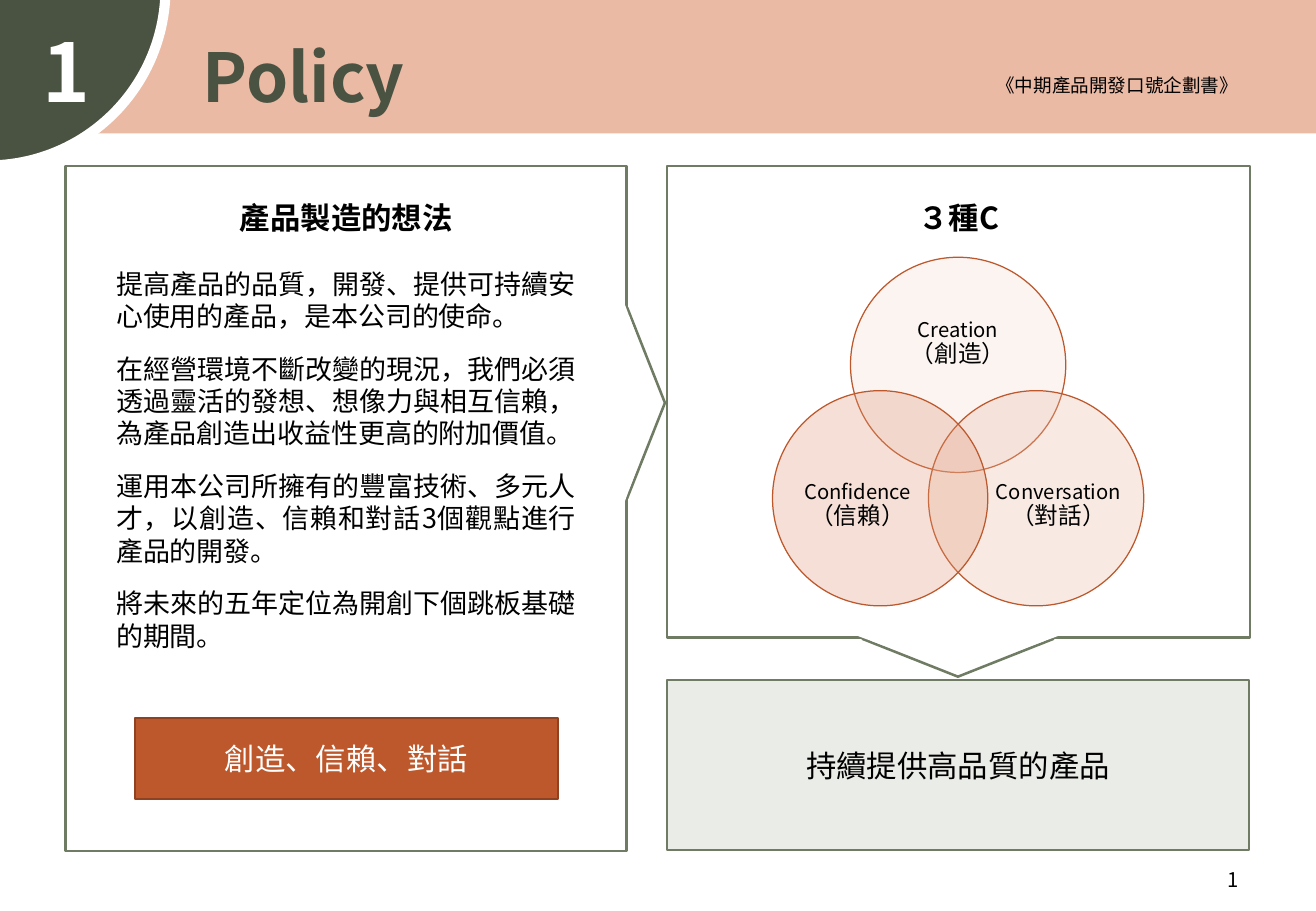
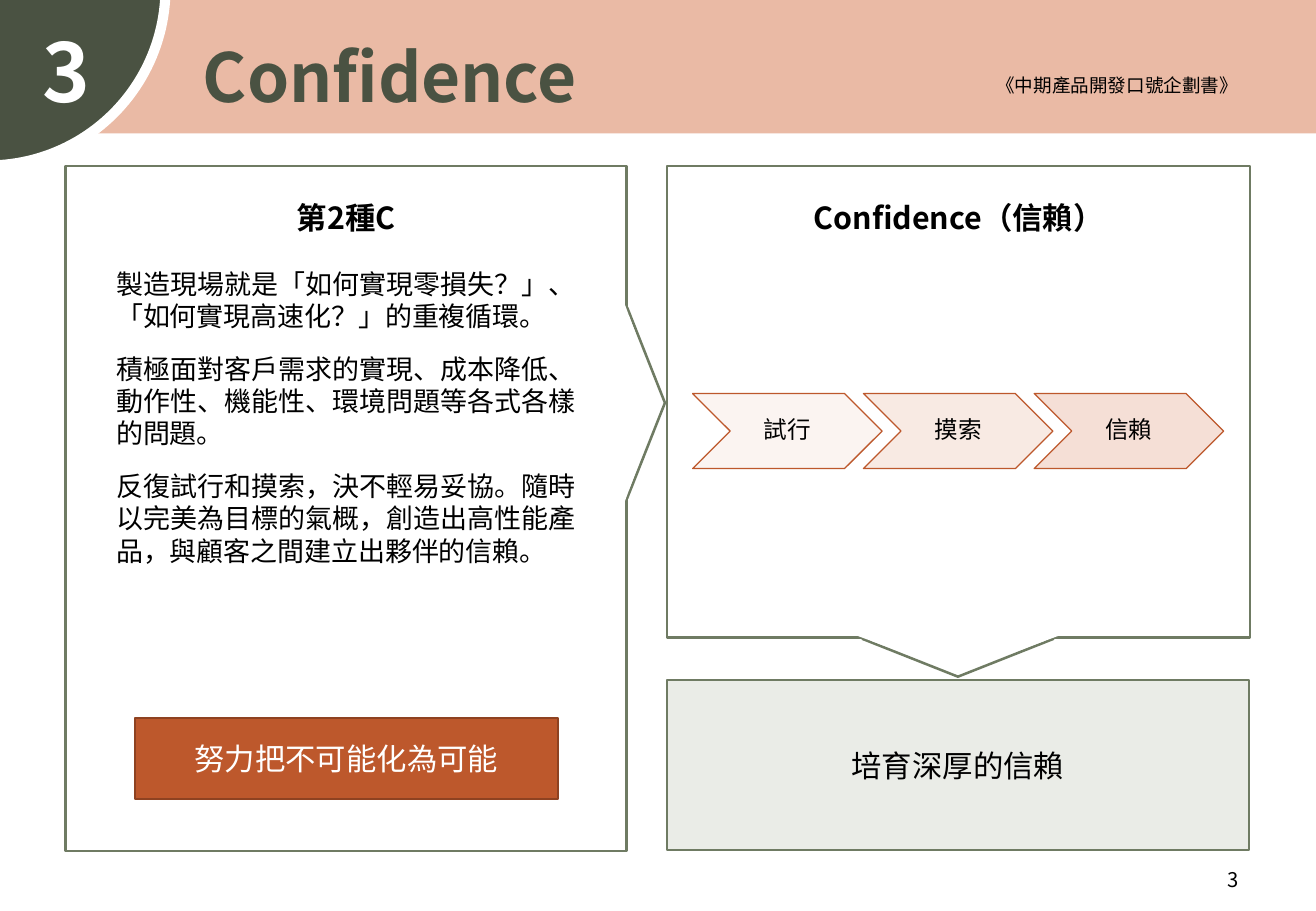
from lxml import etree
from pptx import Presentation
from pptx.dml.color import RGBColor
from pptx.enum import shapes, text
from pptx.oxml.ns import qn
from pptx.util import Cm, Pt

SHAPE = shapes.MSO_SHAPE
LEFT, MID, RIGHT, FULL = (text.PP_ALIGN.LEFT, text.PP_ALIGN.CENTER,
                          text.PP_ALIGN.RIGHT, text.PP_ALIGN.JUSTIFY)
TOP, CENTRE = text.MSO_ANCHOR.TOP, text.MSO_ANCHOR.MIDDLE

SANS, PAGE_FONT = "Noto Sans CJK SC", "Noto Sans CJK JP"
BLACK, WHITE = "000000", "FFFFFF"
DARK, SAGE, MIST = "4A5242", "6F7B63", "EAECE7"
PEACH, RUST, BROWN = "EABAA5", "BD582C", "8E4221"
TINTS = ["F5DDD2", PEACH, "E09878"]
OPACITY = 30

WIDTH, HEIGHT = 27.51, 19.05
DOC = "《中期產品開發口號企劃書》"

# All places are left, top, width, height in centimetres.
PANEL = (1.37, 3.47, 11.73, 14.33)
VIEW = (13.94, 3.47, 12.19, 9.86)
GOAL = (13.94, 14.22, 12.17, 3.56)
SLOGAN = (2.82, 15.01, 8.84, 1.7)
POINTERS = [  # outline, mask over its base, rotation
    ((11.51, 8.03, 3.99, 0.79), (11.28, 8.03, 4.29, 0.79), 90),
    ((18.03, 13.36, 3.99, 0.79), (17.88, 13.28, 4.29, 0.79), 180),
]

# Circle centre relative to the top one, label offset, label size
RINGS = [
    ((0, 0), (0, -0.44), (3.3, 2.03)),
    ((1.63, 2.79), (0.47, 0.15), (2.69, 2.46)),
    ((-1.63, 2.79), (-0.47, 0.15), (2.69, 2.46)),
]

SLIDES = [
    dict(
        num="1", title="Policy", head="產品製造的想法",
        body=[
            "提高產品的品質，開發、提供可持續安心使用的產品，是本公司的使命。",
            "在經營環境不斷改變的現況，我們必須透過靈活的發想、想像力與相互信賴，"
            "為產品創造出收益性更高的附加價值。",
            "運用本公司所擁有的豐富技術、多元人才，以創造、信賴和對話3個觀點進行產品的開發。",
            "將未來的五年定位為開創下個跳板基礎的期間。",
        ],
        slogan="創造、信賴、對話", view="３種C", goal="持續提供高品質的產品",
        rings=[("Creation", "（創造）"), ("Conversation", "（對話）"),
               ("Confidence", "（信賴）")],
    ),
    dict(
        num="3", title="Confidence", head="第2種C",
        body=[
            "製造現場就是「如何實現零損失？」、「如何實現高速化？」的重複循環。",
            "積極面對客戶需求的實現、成本降低、動作性、機能性、環境問題等各式各樣的問題。",
            "反復試行和摸索，決不輕易妥協。隨時以完美為目標的氣概，創造出高性能產品，"
            "與顧客之間建立出夥伴的信賴。",
        ],
        slogan="努力把不可能化為可能", view="Confidence（信賴）", goal="培育深厚的信賴",
        steps=["試行", "摸索", "信賴"],
    ),
]


def rgb(code):
    return RGBColor.from_string(code)


def style(font, size, color=BLACK, bold=False, name=SANS):
    font.size, font.bold, font.name = Pt(size), bold, name
    font.color.rgb = rgb(color)
    etree.SubElement(font._rPr, qn("a:ea"), typeface=name)


def write(shape, lines, size, color=BLACK, align=MID, anchor=TOP, bold=False,
          name=SANS, after=0, pad=(0.25, 0.13)):
    """Fill a shape with one paragraph for each line."""
    frame = shape.text_frame
    frame.word_wrap, frame.vertical_anchor = True, anchor
    frame.auto_size = text.MSO_AUTO_SIZE.NONE
    frame.margin_left = frame.margin_right = Cm(pad[0])
    frame.margin_top = frame.margin_bottom = Cm(pad[1])
    frame.text = "\n".join(lines)
    for par in frame.paragraphs:
        par.alignment, par.space_after = align, Pt(after)
        style(par.font, size, color, bold, name)
    return frame


def label(slide, at, lines, size, **look):
    box = slide.shapes.add_textbox(*map(Cm, at))
    return write(box, lines, size, **look)


def draw(slide, kind, at, fill, line=None, width=1.5, alpha=None):
    shape = slide.shapes.add_shape(kind, *map(Cm, at))
    shape.shadow.inherit = False
    shape.fill.solid()
    shape.fill.fore_color.rgb = rgb(fill)
    if alpha:
        tint = shape.fill._xPr.find(".//" + qn("a:srgbClr"))
        etree.SubElement(tint, qn("a:alpha"), val=str(alpha * 1000))
    if line:
        shape.line.color.rgb = rgb(line)
        shape.line.width = Pt(width)
    else:
        shape.line.fill.background()
    return shape


def brand(layout, slide):
    """Draw the header on a slide, then move it to the layout."""
    for holder in list(layout.placeholders):
        if holder.placeholder_format.idx:
            holder.element.getparent().remove(holder.element)
    band = draw(slide, SHAPE.RECTANGLE, (0, 0, WIDTH, 2.79), PEACH)
    pie = draw(slide, SHAPE.PIE, (-3.96, -3.96, 7.42, 7.42), DARK, WHITE, 6)
    pie.adjustments[0], pie.adjustments[1] = 0, 54
    name = slide.shapes.add_textbox(*map(Cm, (18.72, 1.42, 7.42, 0.74)))
    write(name, [DOC], 11, align=RIGHT)
    for part in (band, pie, name):
        layout.shapes._spTree.append(part.element)


def frame(slide, page):
    """Draw the parts that every page has."""
    title = slide.shapes.title
    title.left, title.top, title.width, title.height = map(
        Cm, (3.99, 0.61, 12.14, 1.96))
    write(title, [page["title"]], 40, color=DARK, align=LEFT, bold=True)
    label(slide, (0.64, 0.33, 1.3, 2.31), [page["num"]], 48, color=WHITE, bold=True)

    draw(slide, SHAPE.RECTANGLE, PANEL, WHITE, SAGE)
    goal = draw(slide, SHAPE.RECTANGLE, GOAL, MIST, SAGE)
    write(goal, [page["goal"]], 18, anchor=CENTRE)
    draw(slide, SHAPE.RECTANGLE, VIEW, WHITE, SAGE)
    for edge, mask, turn in POINTERS:
        draw(slide, SHAPE.ISOSCELES_TRIANGLE, edge, WHITE, SAGE).rotation = turn
        draw(slide, SHAPE.ISOSCELES_TRIANGLE, mask, WHITE).rotation = turn

    for left, key in ((3.38, "head"), (16.18, "view")):
        label(slide, (left, 4.04, 7.72, 1.02), [page[key]], 18, bold=True)
    label(slide, (2.18, 5.46, 10.11, 8.38), page["body"], 16, align=FULL, after=12)
    slogan = draw(slide, SHAPE.RECTANGLE, SLOGAN, RUST, BROWN, 1)
    write(slogan, [page["slogan"]], 18, color=WHITE, anchor=CENTRE)
    label(slide, (24.82, 18.01, 1.32, 0.76), [page["num"]], 12, align=RIGHT,
          name=PAGE_FONT)


def venn(slide, names, x=20.03, y=7.63, size=4.5):
    for (word, gloss), tint, ring in zip(names, TINTS, RINGS):
        (dx, dy), (tx, ty), (w, h) = ring
        cx, cy = x + dx, y + dy
        draw(slide, SHAPE.OVAL, (cx - size / 2, cy - size / 2, size, size),
             tint, RUST, 0.75, OPACITY)
        at = (cx + tx - w / 2, cy + ty - h / 2, w, h)
        par = label(slide, at, [word], 12, anchor=CENTRE, pad=(0, 0)).paragraphs[0]
        par.line_spacing = 0.9
        par.add_line_break()
        run = par.add_run()
        run.text, run.font.size = gloss, Pt(14)


def chain(slide, steps, left=14.48, pitch=3.57):
    for i, (step, tint) in enumerate(zip(steps, TINTS)):
        arrow = draw(slide, SHAPE.CHEVRON, (left + i * pitch, 8.23, 3.96, 1.57),
                     tint, RUST, 0.75, OPACITY)
        write(arrow, [step], 14, anchor=CENTRE, pad=(0.05, 0.05))
        arrow.text_frame.paragraphs[0].line_spacing = 0.9


def main():
    deck = Presentation()
    deck.slide_width, deck.slide_height = Cm(WIDTH), Cm(HEIGHT)
    layout = deck.slide_layouts[5]
    for i, page in enumerate(SLIDES):
        slide = deck.slides.add_slide(layout)
        if i == 0:
            brand(layout, slide)
        frame(slide, page)
        if "rings" in page:
            venn(slide, page["rings"])
        else:
            chain(slide, page["steps"])
    deck.save("out.pptx")


if __name__ == "__main__":
    main()
